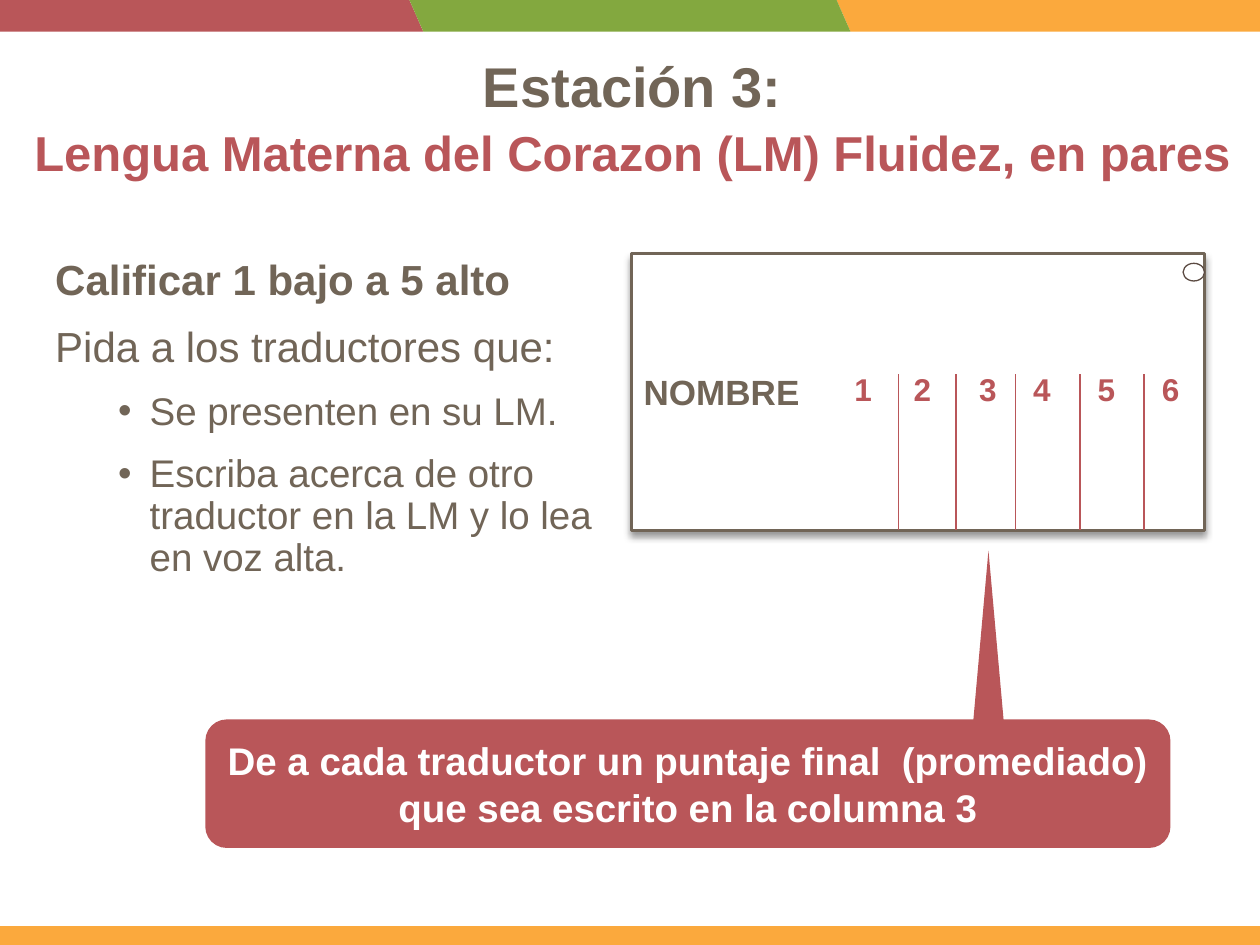
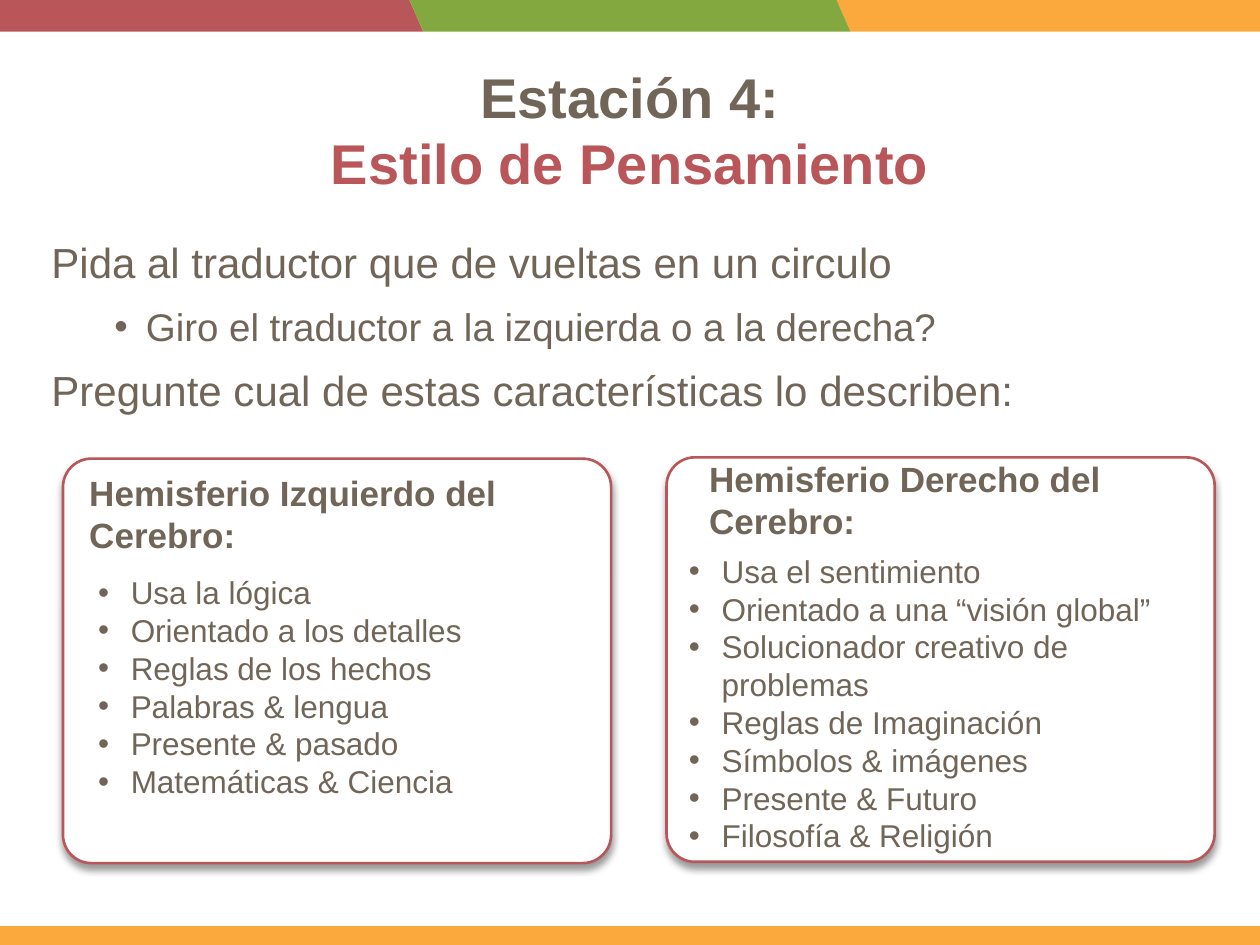
from lxml import etree
from pptx import Presentation
from pptx.dml.color import RGBColor
from pptx.enum.shapes import MSO_CONNECTOR, MSO_SHAPE
from pptx.enum.text import MSO_ANCHOR, PP_ALIGN
from pptx.oxml.ns import qn
from pptx.util import Inches, Pt

# Shared style
FONT = "Arial"
COLORS = {"text": "716557", "red": "B95659", "green": "83A83F",
          "orange": "FBA93D", "white": "FFFFFF", "ring": "5B4A42", "black": "000000"}
BANDS = [(6.64, "orange"), (-0.14, "red"), (3.25, "green")]

# Station 3 content
STATION_3 = {"name": "Estación 3:", "topic": "Lengua Materna del Corazon (LM) Fluidez, en pares"}
# Body lines: text, level, bold
SPEAKING_STEPS = [
    ("Calificar 1 bajo a 5 alto", 0, True),
    ("Pida a los traductores que:", 0, False),
    ("Se presenten en su LM.", 1, False),
    ("Escriba acerca de otro traductor en la LM y lo lea en voz alta.", 1, False),
]
SCORE_NOTE = "De a cada traductor un puntaje final  (promediado) que sea escrito en la columna 3"
SCORE_COLUMNS = [("1", 6.85), ("2", 7.32), ("3", 7.84), ("4", 8.27), ("5", 8.78), ("6", 9.29)]
DIVIDERS = [7.13, 7.59, 8.06, 8.57, 9.08]

# Station 4 content
STATION_4 = {"name": "Estación 4:", "topic": "Estilo de Pensamiento"}
THINKING_STEPS = [
    ("Pida al traductor que de vueltas en un circulo", 0, False),
    ("Giro el traductor a la izquierda o a la derecha?", 1, False),
    ("Pregunte cual de estas características lo describen:", 0, False),
]
HEMISPHERES = [
    {"card": (0.5, 3.64), "heading": "Hemisferio Izquierdo del Cerebro:",
     "heading_at": (0.61, 3.69, 3.95, 0.77), "list_at": (0.31, 4.5, 3.86, 1.92),
     "traits": ["Usa la lógica", "Orientado a los detalles", "Reglas de los hechos",
                "Palabras & lengua", "Presente & pasado", "Matemáticas & Ciencia"]},
    {"card": (5.29, 3.63), "heading": "Hemisferio Derecho del Cerebro:",
     "heading_at": (5.53, 3.58, 3.86, 0.77), "list_at": (5, 4.33, 4.64, 2.52),
     "traits": ["Usa el sentimiento", "Orientado a una “visión global”",
                "Solucionador creativo de problemas", "Reglas de Imaginación",
                "Símbolos & imágenes", "Presente & Futuro", "Filosofía & Religión"]},
]


# Helpers
def rgb(name):
    return RGBColor.from_string(COLORS[name])


def inches(values):
    return [Inches(v) for v in values]


def add_run(p, text, size, color="text", bold=False):
    r = p.add_run()
    r.text = text
    r.font.name, r.font.size, r.font.bold = FONT, Pt(size), bold
    r.font.color.rgb = rgb(color)


def add_bullet(p, left, hang):
    pPr = p._p.get_or_add_pPr()
    pPr.set("marL", str(Inches(left)))
    pPr.set("indent", str(-Inches(hang)))
    etree.SubElement(pPr, qn("a:buFont"), typeface=FONT)
    etree.SubElement(pPr, qn("a:buChar"), char="•")


def add_shadow(sp):
    effects = sp._element.spPr.find(qn("a:effectLst"))
    shadow = etree.SubElement(effects, qn("a:outerShdw"), blurRad=str(Pt(4)),
                              dist=str(Pt(3)), dir="5400000", rotWithShape="0")
    color = etree.SubElement(shadow, qn("a:srgbClr"), val=COLORS["black"])
    etree.SubElement(color, qn("a:alpha"), val="40000")


def add_shape(s, kind, at, fill, line=None, width=1.5, shadow=False):
    sp = s.shapes.add_shape(kind, *inches(at))
    sp.shadow.inherit = False
    sp.fill.solid()
    sp.fill.fore_color.rgb = rgb(fill)
    if line:
        sp.line.color.rgb = rgb(line)
        sp.line.width = Pt(width)
    else:
        sp.line.fill.background()
    if shadow:
        add_shadow(sp)
    return sp


def add_text(s, at, wrap=True):
    tf = s.shapes.add_textbox(*inches(at)).text_frame
    tf.word_wrap = wrap
    return tf


def paragraphs(tf, items):
    for i, item in enumerate(items):
        yield (tf.add_paragraph() if i else tf.paragraphs[0]), item


def add_label(sp, text, size, color, align):
    tf = sp.text_frame
    tf.word_wrap = True
    tf.vertical_anchor = MSO_ANCHOR.MIDDLE
    p = tf.paragraphs[0]
    p.alignment = align
    add_run(p, text, size, color, True)


def add_body(s, at, lines):
    for p, (text, level, bold) in paragraphs(add_text(s, at), lines):
        if level:
            add_bullet(p, 0.75, 0.25)
        p.level = level
        p.line_spacing, p.space_after = 0.9, Pt(12)
        add_run(p, text, 22 if level else 24, bold=bold)


def add_station(prs, station, title_at, topic_size, spacing):
    s = prs.slides.add_slide(prs.slide_layouts[6])
    # Footer and header bands
    add_shape(s, MSO_SHAPE.RECTANGLE, (0, 7.35, 10, 0.15), "orange")
    for x, color in BANDS:
        sp = add_shape(s, MSO_SHAPE.PARALLELOGRAM, (x, 0, 3.5, 0.25), color)
        sp.adjustments[0] = 0.44
        sp._element.spPr.xfrm.set("flipH", "1")
    # Title
    tf = add_text(s, title_at)
    tf.margin_top = Inches(0.08)
    p = tf.paragraphs[0]
    p.alignment = PP_ALIGN.CENTER
    p.line_spacing = Pt(spacing)
    add_run(p, station["name"], 32, bold=True)
    p.add_line_break()
    add_run(p, station["topic"], topic_size, "red", True)
    return s


def build_station_3(prs):
    s = add_station(prs, STATION_3, (0.02, 0.36, 10, 1.45), 28, 36)
    add_body(s, (0.34, 2.01, 4.66, 3.68), SPEAKING_STEPS)

    # Callout pointing at the score sheet
    add_shape(s, MSO_SHAPE.ISOSCELES_TRIANGLE, (7.72, 4.37, 0.25, 1.4), "red")
    note = add_shape(s, MSO_SHAPE.ROUNDED_RECTANGLE, (1.63, 5.71, 7.66, 1.02), "red")
    add_label(note, SCORE_NOTE, 22, "white", PP_ALIGN.CENTER)

    # Score sheet
    sheet = add_shape(s, MSO_SHAPE.RECTANGLE, (5.01, 2.01, 4.55, 2.2), "white", "text", shadow=True)
    add_label(sheet, "NOMBRE", 20, "text", PP_ALIGN.LEFT)
    for x in DIVIDERS:
        line = s.shapes.add_connector(MSO_CONNECTOR.STRAIGHT, *inches((x, 2.97, x, 4.21)))
        line.line.color.rgb = rgb("red")
        line.line.width = Pt(1)
        etree.SubElement(line._element.spPr, qn("a:effectLst"))
    add_shape(s, MSO_SHAPE.OVAL, (9.39, 2.09, 0.17, 0.14), "white", "ring", 0.75)
    for number, center in SCORE_COLUMNS:
        tf = add_text(s, (center - 0.21, 2.89, 0.42, 0.4), wrap=False)
        tf.vertical_anchor = MSO_ANCHOR.MIDDLE
        p = tf.paragraphs[0]
        p.alignment = PP_ALIGN.CENTER
        add_run(p, number, 18, "red", True)


def build_station_4(prs):
    s = add_station(prs, STATION_4, (0.69, 0.42, 8.62, 1.45), 32, 38)
    add_body(s, (0.31, 1.87, 9.48, 1.5), THINKING_STEPS)

    # One card per hemisphere
    for side in HEMISPHERES:
        card = add_shape(s, MSO_SHAPE.ROUNDED_RECTANGLE, (*side["card"], 4.35, 3.21),
                         "white", "red", shadow=True)
        card.adjustments[0] = 0.07
        for p, trait in paragraphs(add_text(s, side["list_at"]), side["traits"]):
            add_bullet(p, 0.63, 0.26)
            add_run(p, trait, 18)
        heading = add_text(s, side["heading_at"])
        add_run(heading.paragraphs[0], side["heading"], 20, bold=True)


def main():
    prs = Presentation()
    prs.slide_width, prs.slide_height = Inches(10), Inches(7.5)
    build_station_3(prs)
    build_station_4(prs)
    prs.save("out.pptx")


if __name__ == "__main__":
    main()
